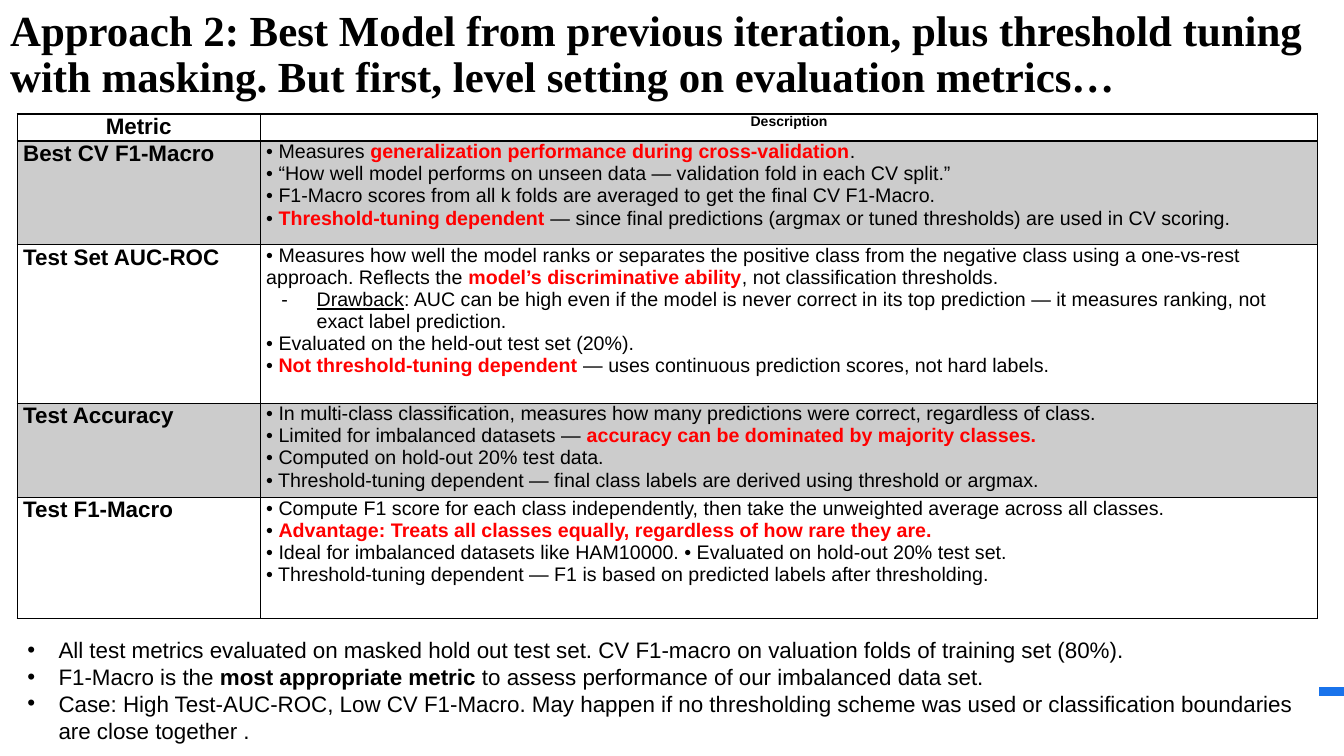
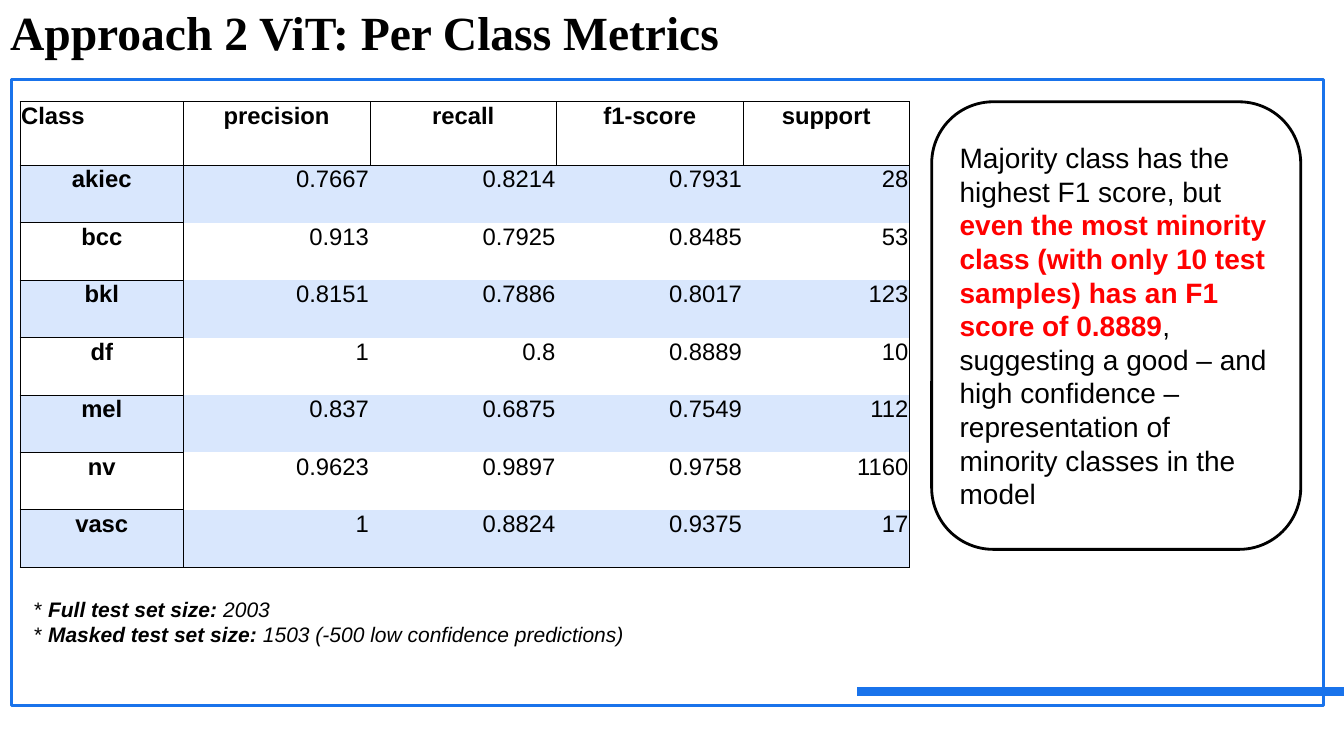
from pptx import Presentation
from pptx import util as u
from pptx.dml.color import RGBColor
from pptx.enum import shapes, text
from pptx.oxml.ns import qn
from lxml import etree

BLACK = RGBColor(0x00, 0x00, 0x00)
WHITE = RGBColor(0xFF, 0xFF, 0xFF)
RED = RGBColor(0xFF, 0x00, 0x00)
BLUE = RGBColor(0x19, 0x73, 0xEB)
PALE_BLUE = RGBColor(0xD9, 0xE7, 0xFD)
GREY = RGBColor(0xCC, 0xCC, 0xCC)

BODY_FONT, TITLE_FONT = "Arial", "Times New Roman"
SLIDE_W, SLIDE_H = u.Inches(13.33), u.Inches(7.5)
LEFT, CENTER, RIGHT = text.PP_ALIGN.LEFT, text.PP_ALIGN.CENTER, text.PP_ALIGN.RIGHT

KEY = {"bold": True, "color": RED}
BOLD = {"bold": True}
BOLD_ITALIC = {"bold": True, "italic": True}
ITALIC = {"italic": True}

METRICS = [
    ("Best CV F1-Macro", [
        ["• Measures ", ("generalization performance during cross-validation", KEY), "."],
        ["• “How well model performs on unseen data — validation fold in each CV split.”"],
        ["• F1-Macro scores from all k folds are averaged to get the final CV F1-Macro."],
        ["• ", ("Threshold-tuning dependent ", KEY),
         "— since final predictions (argmax or tuned thresholds) are used in CV scoring."],
    ]),
    ("Test Set AUC-ROC", [
        ["• Measures how well the model ranks or separates the positive class from the "
         "negative class using a one-vs-rest approach. Reflects the ",
         ("model’s discriminative ability", KEY), ", not classification thresholds."],
        [("Drawback", {"underline": True}),
         ": AUC can be high even if the model is never correct in its top prediction "
         "— it measures ranking, not exact label prediction."],
        ["• Evaluated on the held-out test set (20%)."],
        ["• ", ("Not threshold-tuning dependent ", KEY),
         "— uses continuous prediction scores, not hard labels."],
    ]),
    ("Test Accuracy", [
        ["• In multi-class classification, measures how many predictions were correct, "
         "regardless of class."],
        ["• Limited for imbalanced datasets — ",
         ("accuracy can be dominated by majority classes.", KEY)],
        ["• Computed on hold-out 20% test data."],
        ["• Threshold-tuning dependent — final class labels are derived using threshold or argmax."],
    ]),
    ("Test F1-Macro", [
        ["• Compute F1 score for each class independently, then take the unweighted "
         "average across all classes."],
        ["• ", ("Advantage: Treats all classes equally, regardless of how rare they are.", KEY)],
        ["• Ideal for imbalanced datasets like HAM10000. • Evaluated on hold-out 20% test set."],
        ["• Threshold-tuning dependent — F1 is based on predicted labels after thresholding."],
    ]),
]

TAKEAWAYS = [
    ["All test metrics evaluated on masked hold out test set. CV F1-macro on valuation "
     "folds of training set (80%)."],
    ["F1-Macro is the ", ("most appropriate metric", BOLD),
     " to assess performance of our imbalanced data set."],
    ["Case: High Test-AUC-ROC, Low CV F1-Macro. May happen if no thresholding scheme was "
     "used or classification boundaries are close together ."],
]

CLASS_SCORES = [
    ("Class", "precision", "recall", "f1-score", "support"),
    ("akiec", "0.7667", "0.8214", "0.7931", "28"),
    ("bcc", "0.913", "0.7925", "0.8485", "53"),
    ("bkl", "0.8151", "0.7886", "0.8017", "123"),
    ("df", "1", "0.8", "0.8889", "10"),
    ("mel", "0.837", "0.6875", "0.7549", "112"),
    ("nv", "0.9623", "0.9897", "0.9758", "1160"),
    ("vasc", "1", "0.8824", "0.9375", "17"),
]

CALLOUT = [
    "Majority class has the highest F1 score, but ",
    ("even the most minority class (with only 10 test samples) has an F1 score of 0.8889", KEY),
    ", suggesting a good – and high confidence – representation of minority classes in the model",
]

SET_SIZES = [
    ["* ", ("Full test set size: ", BOLD_ITALIC), ("2003", ITALIC)],
    ["* ", ("Masked test set size: ", BOLD_ITALIC),
     ("1503 (-500 low confidence predictions)", ITALIC)],
]


# Lengths as percentages of the slide
def across(percent):
    return round(SLIDE_W * percent / 100)


def down(percent):
    return round(SLIDE_H * percent / 100)


def box(left, top, width, height):
    return across(left), down(top), across(width), down(height)


# Text
def add_run(paragraph, content, size=16, font=BODY_FONT, color=BLACK,
            bold=False, italic=False, underline=False):
    run = paragraph.add_run()
    run.text = content
    style = run.font
    style.size, style.name, style.bold = u.Pt(size), font, bold
    style.italic, style.underline = italic, underline
    style.color.rgb = color


def write(frame, paragraphs, align=LEFT, spacing=None, bullets=None, **style):
    """Each paragraph lists plain strings and (string, format) pairs.

    bullets maps a paragraph index to (character, margin, hanging), in inches.
    """
    frame.word_wrap = True
    for i, pieces in enumerate(paragraphs):
        paragraph = frame.paragraphs[0] if i == 0 else frame.add_paragraph()
        paragraph.alignment = align
        paragraph.space_before = u.Pt(0)
        if spacing:
            paragraph.line_spacing = spacing
        if bullets and i in bullets:
            add_bullet(paragraph, *bullets[i])
        for piece in pieces:
            content, extra = (piece, {}) if isinstance(piece, str) else piece
            add_run(paragraph, content, **{**style, **extra})


def add_bullet(paragraph, char, margin, hanging):
    props = paragraph._p.get_or_add_pPr()
    props.set("marL", str(u.Inches(margin)))
    props.set("indent", str(-u.Inches(hanging)))
    color = etree.SubElement(props, qn("a:buClr"))
    etree.SubElement(color, qn("a:srgbClr"), val=str(BLACK))
    etree.SubElement(props, qn("a:buFont"), typeface=BODY_FONT)
    etree.SubElement(props, qn("a:buChar"), char=char)


# Shapes
def add_panel(slide, kind, place, line, width=2):
    panel = slide.shapes.add_shape(kind, *place)
    panel.shadow.inherit = False
    panel.fill.solid()
    panel.fill.fore_color.rgb = WHITE
    panel.line.color.rgb = line
    panel.line.width = u.Pt(width)
    return panel


def add_accent_line(slide):
    line = slide.shapes.add_connector(shapes.MSO_CONNECTOR.STRAIGHT, across(63.77),
                                      down(91.47), SLIDE_W, down(91.47))
    line.line.color.rgb = BLUE
    line.line.width = u.Pt(6)
    etree.SubElement(line._element.spPr, qn("a:effectLst"))


def add_titled_slide(deck, layout, title, size):
    slide = deck.slides.add_slide(deck.slide_layouts[layout])
    heading = slide.shapes.title
    heading.left, heading.top, heading.width, heading.height = box(0, 0.53, 100, 16)
    frame = heading.text_frame
    frame.auto_size = text.MSO_AUTO_SIZE.NONE
    frame.vertical_anchor = text.MSO_ANCHOR.TOP
    write(frame, [[title]], spacing=0.9, size=size, font=TITLE_FONT, bold=True)
    return slide


# Tables
def add_grid(slide, left, top, columns, rows):
    place = box(left, top, sum(columns), sum(rows))
    table = slide.shapes.add_table(len(rows), len(columns), *place).table
    table.first_row = table.horz_banding = False
    for column, width in zip(table.columns, columns):
        column.width = across(width)
    for row, height in zip(table.rows, rows):
        row.height = down(height)
    return table


def format_cell(cell, edges, fill, side, top=0):
    """edges gives the left, right, top and bottom widths; 0 draws no line."""
    cell.margin_left = cell.margin_right = u.Inches(side)
    cell.margin_top, cell.margin_bottom = u.Inches(top), 0
    props = cell._tc.get_or_add_tcPr()
    for tag, width in zip(("a:lnL", "a:lnR", "a:lnT", "a:lnB"), edges):
        line = etree.SubElement(props, qn(tag), w=str(u.Pt(width)))
        if width:
            paint = etree.SubElement(line, qn("a:solidFill"))
            etree.SubElement(paint, qn("a:srgbClr"), val=str(BLACK))
        else:
            etree.SubElement(line, qn("a:noFill"))
    cell.fill.solid()
    cell.fill.fore_color.rgb = fill


def add_metric_table(slide):
    table = add_grid(slide, 1.28, 15.07, (18.08, 78.7), (3.6, 13.73, 20.93, 12.53, 16))
    for r in range(len(METRICS) + 1):
        edges = (1, 1, 2 if r == 1 else 1, 2 if r == 0 else 1)
        for c in range(2):
            format_cell(table.cell(r, c), edges, GREY if r % 2 else WHITE, side=0.06)
    for c, (heading, size) in enumerate((("Metric", 16), ("Description", 10))):
        write(table.cell(0, c).text_frame, [[heading]], align=CENTER, size=size, bold=True)
    for r, (metric, description) in enumerate(METRICS, 1):
        write(table.cell(r, 0).text_frame, [[metric]], bold=True)
        drawback = {i: ("-", 0.5, 0.35) for i, pieces in enumerate(description)
                    if pieces[0][0] == "Drawback"}
        write(table.cell(r, 1).text_frame, description, size=14, bullets=drawback)


def add_score_table(slide):
    last_row, last_col = len(CLASS_SCORES) - 1, len(CLASS_SCORES[0]) - 1
    table = add_grid(slide, 1.5, 13.47, [12.15] + [13.88] * 3 + [12.38],
                     [8.4] + [7.6] * last_row)

    def edge(outer, inner):
        return 1 if outer else 0.75 if inner else 0

    for r, scores in enumerate(CLASS_SCORES):
        for c, value in enumerate(scores):
            header = r == 0 or c == 0
            edges = (edge(c == 0, r == 0 or c == 1), edge(c == last_col, header),
                     edge(r == 0, r == 1 or c == 0), edge(r == last_row, header))
            cell = table.cell(r, c)
            format_cell(cell, edges, PALE_BLUE if r % 2 else WHITE, side=0.01, top=0.01)
            align = LEFT if r == c == 0 else CENTER if header else RIGHT
            write(cell.text_frame, [[value]], align=align, size=17, bold=header)


# Slides
def build_metric_guide(deck):
    slide = add_titled_slide(
        deck, 1, "Approach 2: Best Model from previous iteration, plus threshold tuning "
        "with masking. But first, level setting on evaluation metrics…", 30.6)
    add_accent_line(slide)
    add_metric_table(slide)
    takeaways = slide.placeholders[1]
    takeaways.left, takeaways.top, takeaways.width, takeaways.height = box(
        1.28, 83.47, 96.85, 15.73)
    takeaways.fill.solid()
    takeaways.fill.fore_color.rgb = WHITE
    takeaways.text_frame.auto_size = text.MSO_AUTO_SIZE.NONE
    write(takeaways.text_frame, TAKEAWAYS,
          bullets={i: ("•", 0.31, 0.31) for i in range(len(TAKEAWAYS))})
    # The list covers most of the accent line
    slide.shapes._spTree.append(takeaways._element)


def build_class_scores(deck):
    slide = add_titled_slide(deck, 5, "Approach 2 ViT: Per Class Metrics", 34)
    add_panel(slide, shapes.MSO_SHAPE.RECTANGLE, box(0.83, 10.53, 97.67, 82.8), BLUE)
    add_accent_line(slide)
    add_score_table(slide)
    callout = add_panel(slide, shapes.MSO_SHAPE.ROUNDED_RECTANGLE,
                        box(69.32, 13.47, 27.46, 59.2), BLACK)
    callout.text_frame.vertical_anchor = text.MSO_ANCHOR.MIDDLE
    write(callout.text_frame, [CALLOUT], size=20)
    set_sizes = slide.shapes.add_textbox(*box(1.8, 77.6, 54.24, 9.47)).text_frame
    set_sizes.margin_top = set_sizes.margin_bottom = u.Inches(0.1)
    write(set_sizes, SET_SIZES, size=15)


def main():
    deck = Presentation()
    deck.slide_width, deck.slide_height = SLIDE_W, SLIDE_H
    build_metric_guide(deck)
    build_class_scores(deck)
    deck.save("out.pptx")


if __name__ == "__main__":
    main()
